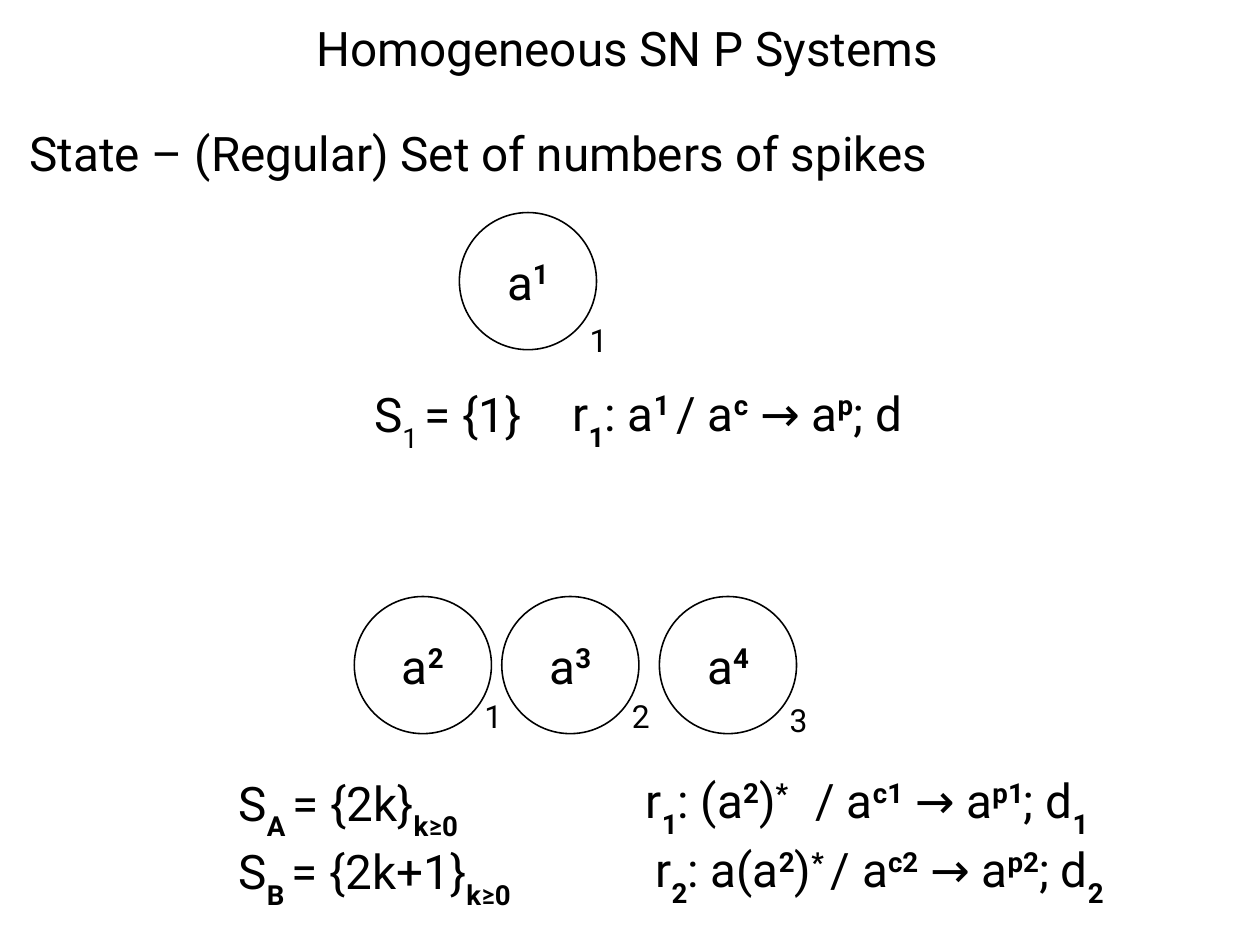
from lxml.etree import SubElement
from pptx import Presentation
from pptx.dml.color import RGBColor
from pptx.enum.shapes import MSO_SHAPE
from pptx.enum.text import MSO_ANCHOR, MSO_AUTO_SIZE, PP_ALIGN
from pptx.oxml.ns import qn
from pptx.util import Pt

# Content: "|" parts the runs; ^ raised bold, _ lowered bold, ~ lowered plain
TITLE = "Homogeneous SN P Systems"
LEFT, MID = PP_ALIGN.LEFT, PP_ALIGN.CENTER
TEXTS = [  # left, top, width, height, lines of (align, markup)
    (2.9, 74.2, 597.6, 42.5, [(MID, "State – (Regular) Set of numbers of spikes")]),
    (217.4, 239, 129.6, 49, [(MID, "S|~1 |= {1}")]),
    (345.6, 238.3, 237.6, 49, [(MID, "r|_1|: a|^1 |/ a|^c| → a|^p|; d")]),
    (143.3, 483.8, 223.2, 93.6, [
        (LEFT, "S|_A |= {2k}|_k|_≥|_0"),
        (LEFT, "S|_B |= {2k+1}|_k|_≥|_0")]),
    (399.6, 482.4, 308.9, 90.7, [
        (LEFT, "r|_1|: (a|^2|)|^*|\t/ a|^c1| → a|^p1|; d|_1"),
        (MID, "r|_2|: a(a|^2|)|^* |/ a|^c2| → a|^p2|; d|_2")]),
]
CELLS = [  # left, top, spikes, label, label top
    (289.4, 133.9, "1", "1", 198.7),
    (223.2, 375.8, "2", "1", 435.6),
    (316.1, 375.8, "3", "2", 435.6),
    (415.4, 375.8, "4", "3", 437.8),
]
SIZE = 86.4      # cell diameter
SHIFT = 74.9     # label offset from the cell's left
STOP = 107       # tab stop before the slash in rule 1
BLACK = RGBColor(0, 0, 0)
MARKS = {"^": ("33000", True), "_": ("-33000", True), "~": ("-33000", False)}
FRAME = {"word_wrap": True, "auto_size": MSO_AUTO_SIZE.SHAPE_TO_FIT_TEXT,
         "vertical_anchor": MSO_ANCHOR.TOP,
         "margin_left": Pt(7.2), "margin_right": Pt(7.2),
         "margin_top": Pt(3.6), "margin_bottom": Pt(3.6)}
ROUND = {"word_wrap": False, "auto_size": MSO_AUTO_SIZE.NONE,
         "vertical_anchor": MSO_ANCHOR.MIDDLE,
         "margin_left": Pt(7.9), "margin_right": Pt(7.9),
         "margin_top": Pt(4.3), "margin_bottom": Pt(4.3)}


def assign(item, values):
    for name, value in values.items():
        setattr(item, name, value)


def write(frame, lines, size=30, form=FRAME):
    """Fill a text frame with marked-up lines."""
    assign(frame, form)
    for i, (align, markup) in enumerate(lines):
        para = frame.add_paragraph() if i else frame.paragraphs[0]
        para.alignment = align
        if "\t" in markup:
            tabs = SubElement(para._p.get_or_add_pPr(), qn("a:tabLst"))
            SubElement(tabs, qn("a:tab"), pos=str(Pt(STOP)), algn="l")
        for part in markup.split("|"):
            base, bold = MARKS.get(part[0], (None, False))
            run = para.add_run()
            run.text = part[1:] if base else part
            assign(run.font, {"size": Pt(size), "bold": bold,
                              "name": "Calibri" if run.text == "≥" else "Roboto"})
            run.font.color.rgb = BLACK
            if base:
                run._r.get_or_add_rPr().set("baseline", base)


def main():
    deck = Presentation()
    assign(deck, {"slide_width": Pt(793.7), "slide_height": Pt(595.3)})
    slide = deck.slides.add_slide(deck.slide_layouts[5])
    shapes = slide.shapes

    # Title
    title = shapes.title
    assign(title, {"left": Pt(190.1), "top": Pt(8.6),
                   "width": Pt(410.4), "height": Pt(42.5)})
    write(title.text_frame, [(MID, TITLE)])

    # Neurons with their labels
    for x, y, count, label, low in CELLS:
        cell = shapes.add_shape(MSO_SHAPE.OVAL, Pt(x), Pt(y), Pt(SIZE), Pt(SIZE))
        cell.shadow.inherit = False
        cell.fill.background()
        cell.line.color.rgb = BLACK
        cell.line.width = Pt(1)
        write(cell.text_frame, [(MID, "a|^" + count)], form=ROUND)
        tag = shapes.add_textbox(Pt(x + SHIFT), Pt(low), Pt(25.2), Pt(31))
        write(tag.text_frame, [(LEFT, label)], size=20)

    # Statement, sets and rules
    for x, y, wide, high, lines in TEXTS:
        box = shapes.add_textbox(Pt(x), Pt(y), Pt(wide), Pt(high))
        write(box.text_frame, lines)

    deck.save("out.pptx")


if __name__ == "__main__":
    main()
